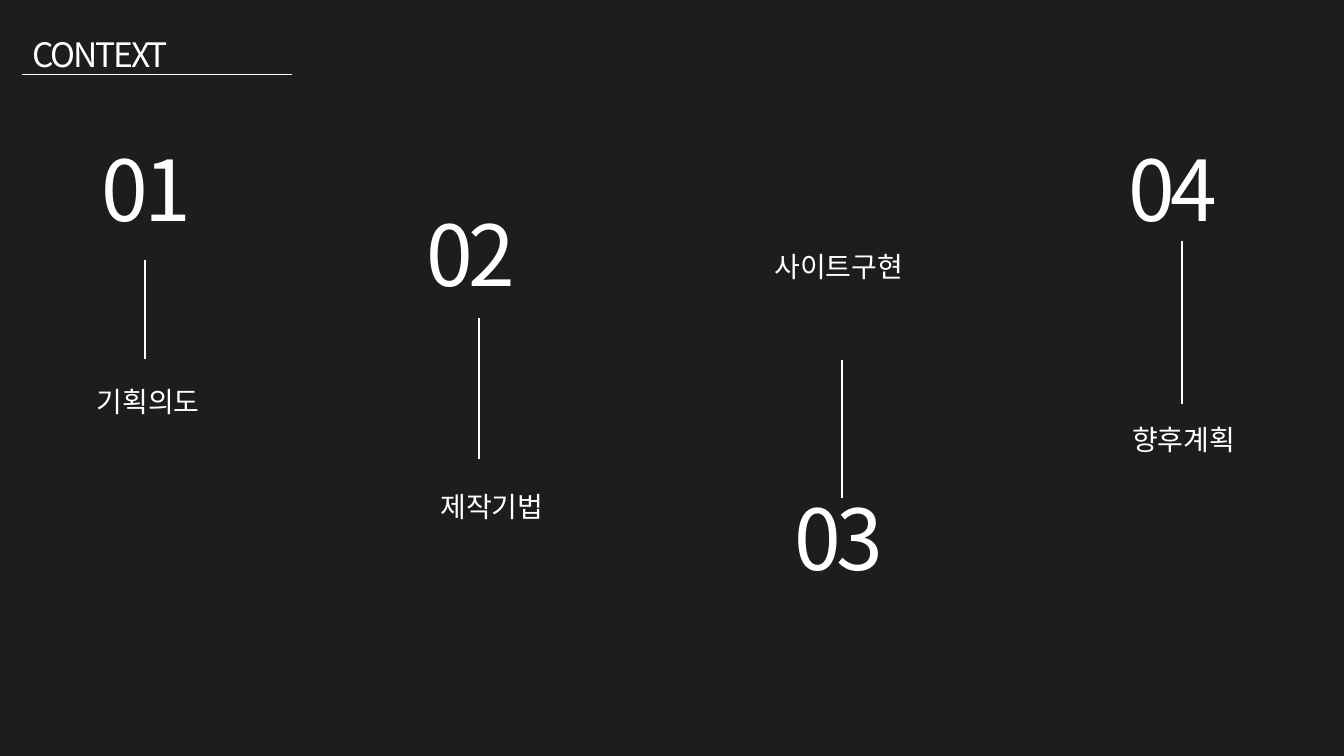
from lxml.etree import SubElement
from pptx import Presentation
from pptx.dml.color import RGBColor
from pptx.enum.shapes import MSO_CONNECTOR
from pptx.enum.text import PP_ALIGN
from pptx.oxml.ns import qn
from pptx.util import Inches, Pt


def color(value):
    return RGBColor.from_string(value)


class Deck:
    """Style and current slide."""
    FONT = "Noto Sans CJK KR"
    INK = "FFFFFF"
    PAPER = "1D1D1D"

    def __init__(self, prs):
        self.s = prs.slides.add_slide(prs.slide_layouts[6])
        fill = self.s.background.fill
        fill.solid()
        fill.fore_color.rgb = color(self.PAPER)

    def text(self, text, x, y, w, h, size, spacing=0, align=PP_ALIGN.LEFT,
             line_spacing=1.0):
        tf = self.s.shapes.add_textbox(
            Inches(x), Inches(y), Inches(w), Inches(h)).text_frame
        tf.word_wrap = True
        p = tf.paragraphs[0]
        p.text = text
        p.alignment = align
        p.line_spacing = line_spacing
        p.font.size = Pt(size)
        p.font.color.rgb = color(self.INK)
        p.font.name = self.FONT
        # East Asian font and letter spacing
        props = p._p.pPr.find(qn("a:defRPr"))
        props.set("spc", str(int(spacing * 100)))
        SubElement(props, qn("a:ea")).set("typeface", self.FONT)

    def line(self, x1, y1, x2, y2, width):
        sp = self.s.shapes.add_connector(
            MSO_CONNECTOR.STRAIGHT,
            Inches(x1), Inches(y1), Inches(x2), Inches(y2))
        sp.line.color.rgb = color(self.INK)
        sp.line.width = Pt(width)
        SubElement(sp._element.spPr, qn("a:effectLst"))

    def number(self, text, x, y):
        self.text(text, x, y, 1.48, 1.31, 60, spacing=-3)

    def label(self, text, center, y):
        width = 2.7
        self.text(text, center - width / 2, y, width, 0.6, 20,
                  align=PP_ALIGN.CENTER, line_spacing=1.5)


# number left and top, line x, start and end, label text, center and top
CHAPTERS = [
    ((0.91, 1.31), (1.44, 2.58, 3.56), ("기획의도", 1.47, 3.6)),
    ((4.13, 1.96), (4.75, 3.15, 4.55), ("제작기법", 4.88, 4.64)),
    ((7.78, 4.78), (8.35, 4.94, 3.57), ("사이트구현", 8.32, 2.26)),
    ((11.09, 1.31), (11.72, 2.39, 4.01), ("향후계획", 11.74, 3.98)),
]


def main():
    prs = Presentation()
    prs.slide_width, prs.slide_height = Inches(13.33), Inches(7.5)
    deck = Deck(prs)

    # Heading
    deck.text("CONTEXT", 0.22, 0.29, 3.12, 0.49, 24, spacing=-1.5)
    deck.line(2.9, 0.74, 0.22, 0.74, 0.5)

    # Chapters
    for i, (number, (x, start, end), label) in enumerate(CHAPTERS, 1):
        deck.number(f"{i:02}", *number)
        deck.line(x, start, x, end, 1.25)
        deck.label(*label)

    prs.save("out.pptx")


if __name__ == "__main__":
    main()
